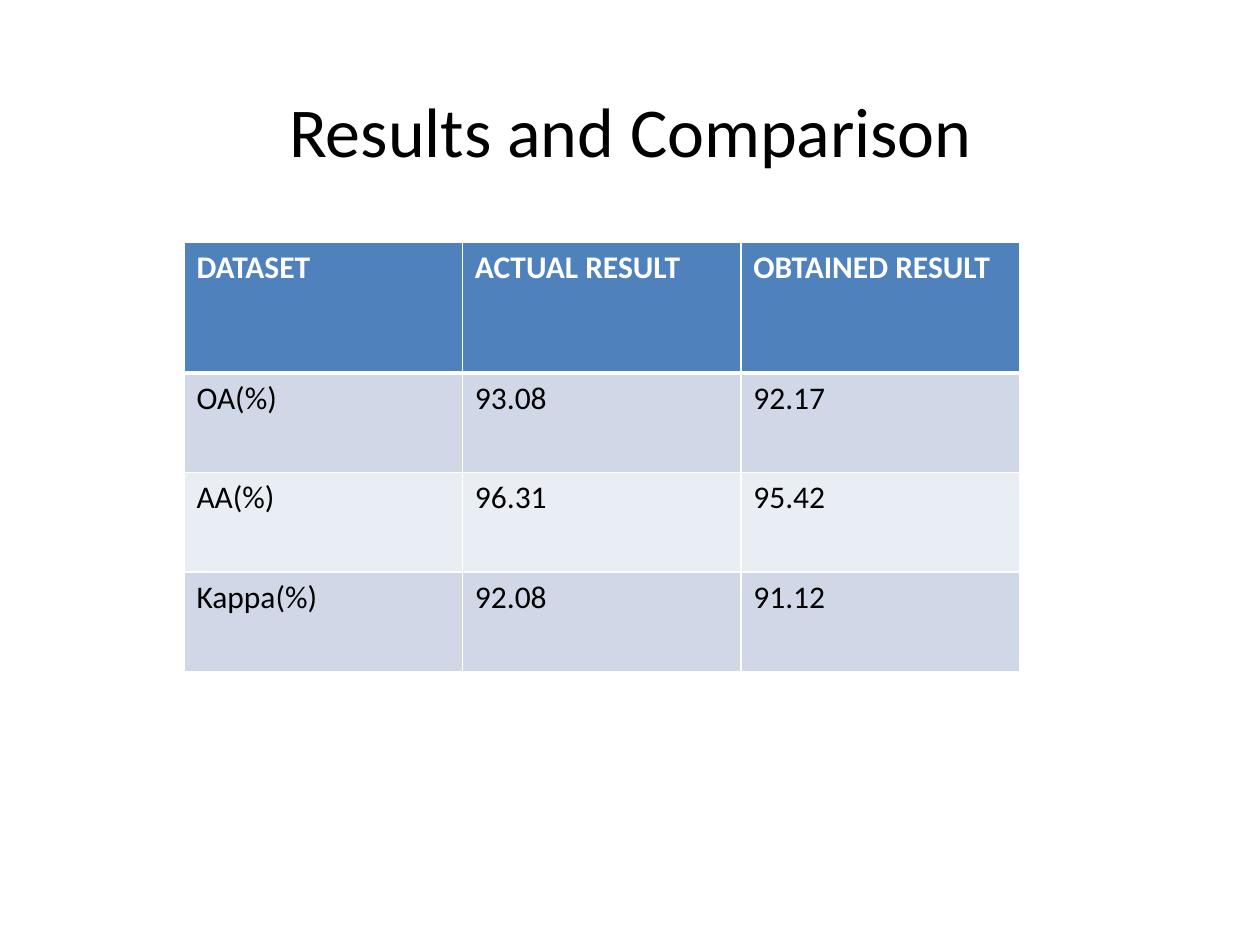
from lxml.etree import SubElement
from pptx import Presentation
from pptx.dml.color import RGBColor
from pptx.enum.text import MSO_ANCHOR, PP_ALIGN
from pptx.oxml.ns import qn
from pptx.util import Inches, Pt

FONT = "Calibri"
BLACK, WHITE = "000000", "FFFFFF"
HEADER_FILL = "4F81BD"
BAND_FILLS = ["D0D8E8", "E9EDF4"]
RESULTS = [
    ["DATASET", "ACTUAL RESULT", "OBTAINED RESULT"],
    ["OA(%)", "93.08", "92.17"],
    ["AA(%)", "96.31", "95.42"],
    ["Kappa(%)", "92.08", "91.12"],
]


def color(value):
    return RGBColor.from_string(value)


def add_span(para, text, size, ink, bold=False):
    span = para.add_run()
    span.text = text
    span.font.name = FONT
    span.font.size = Pt(size)
    span.font.bold = bold
    span.font.color.rgb = color(ink)


def add_title(page, text):
    box = page.shapes.add_textbox(Inches(0.74), Inches(0.49), Inches(8.53), Inches(1.07))
    frame = box.text_frame
    frame.word_wrap = True
    frame.vertical_anchor = MSO_ANCHOR.MIDDLE
    para = frame.paragraphs[0]
    para.alignment = PP_ALIGN.CENTER
    add_span(para, text, 40, BLACK)


def set_borders(cell, top, bottom):
    properties = cell._tc.get_or_add_tcPr()
    for side, width in {"L": 1, "R": 1, "T": top, "B": bottom}.items():
        line = SubElement(properties, qn(f"a:ln{side}"), w=str(Pt(width)))
        fill = SubElement(line, qn("a:solidFill"))
        SubElement(fill, qn("a:srgbClr"), val=WHITE)


def fill_cell(cell, text, row):
    header = row == 0
    set_borders(cell, 3 if row == 1 else 1, 3 if header else 1)
    cell.fill.solid()
    cell.fill.fore_color.rgb = color(HEADER_FILL if header else BAND_FILLS[(row - 1) % 2])
    add_span(cell.text_frame.paragraphs[0], text, 18, WHITE if header else BLACK, header)


def add_results(page, rows):
    frame = page.shapes.add_table(
        len(rows), len(rows[0]), Inches(1.46), Inches(1.92), Inches(6.62), Inches(3.4)
    )
    table = frame.table
    for column in table.columns:
        column.width = Inches(2.21)
    for index, values in enumerate(rows):
        table.rows[index].height = Inches(0.79 if index else 1.04)
        for column, text in enumerate(values):
            fill_cell(table.cell(index, column), text, index)


def main():
    deck = Presentation()
    deck.slide_width, deck.slide_height = Inches(10), Inches(7.5)
    page = deck.slides.add_slide(deck.slide_layouts[6])
    add_title(page, "Results and Comparison")
    add_results(page, RESULTS)
    deck.save("out.pptx")


if __name__ == "__main__":
    main()
